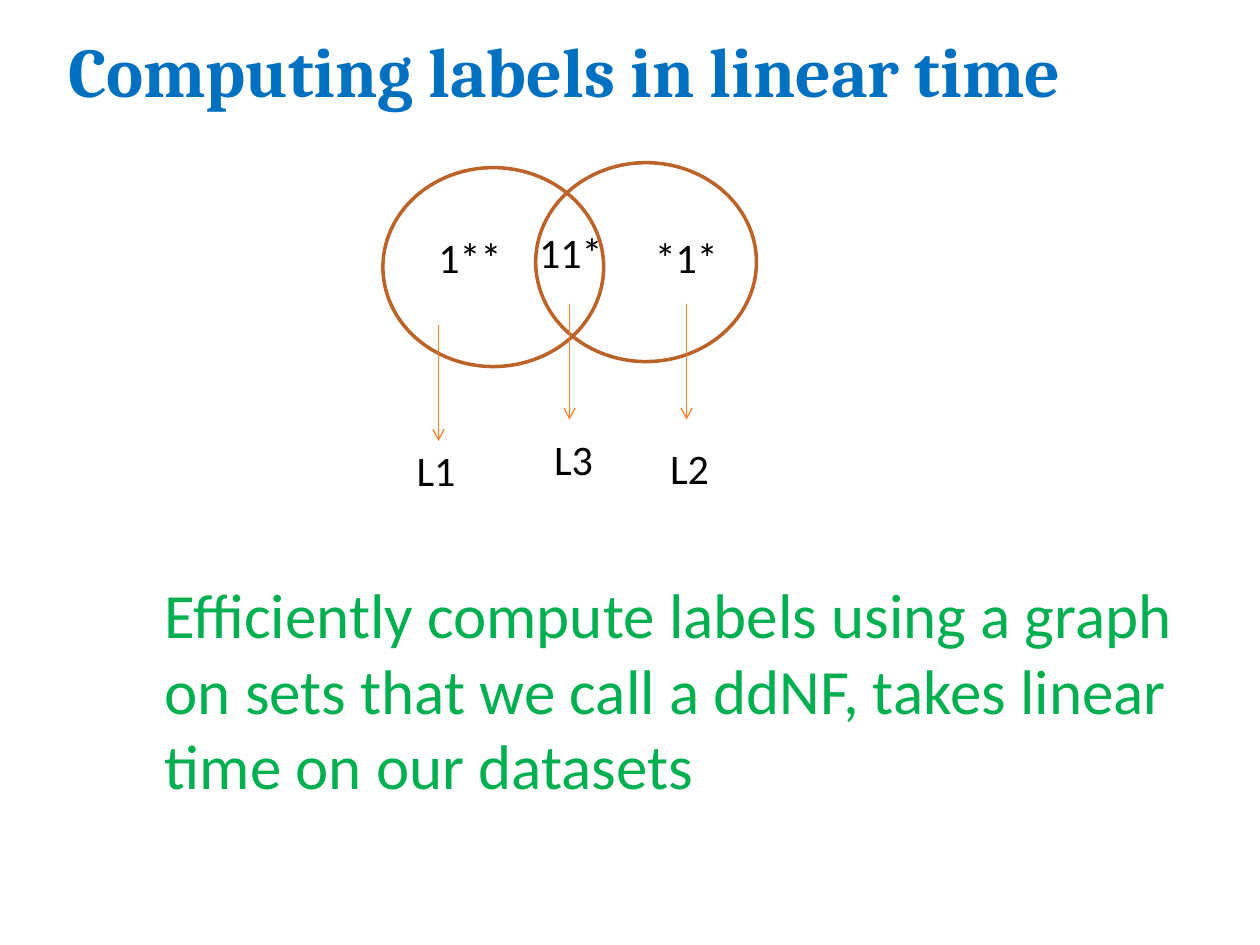
from lxml.etree import SubElement
from pptx import Presentation
from pptx.dml.color import RGBColor
from pptx.enum.shapes import MSO_CONNECTOR, MSO_SHAPE
from pptx.enum.text import MSO_ANCHOR, MSO_AUTO_SIZE, PP_ALIGN
from pptx.oxml.ns import qn
from pptx.util import Cm, Pt

BLACK = RGBColor(0x00, 0x00, 0x00)
BLUE = RGBColor(0x00, 0x70, 0xC0)
GREEN = RGBColor(0x00, 0xB0, 0x50)
BROWN = RGBColor(0xBC, 0x63, 0x29)
ORANGE = RGBColor(0xFD, 0x82, 0x31)

TITLE_FONT = {"name": "Cambria", "size": Pt(40), "bold": True}
LABEL_FONT = {"name": "Calibri", "size": Pt(24)}
SUMMARY_FONT = {"name": "Calibri", "size": Pt(36)}

# Positions in centimetres
CIRCLES = [(7.72, 3.38), (10.8, 3.28)]
SET_LABELS = [("1**", 8.59, 4.55), ("*1*", 12.95, 4.55), ("11*", 10.62, 4.45)]
RESULT_LABELS = [("L1", 8.15, 8.84), ("L2", 13.26, 8.79), ("L3", 10.92, 8.61)]
ARROW_STARTS = [(8.84, 6.55), (11.48, 6.12), (13.84, 6.12)]
ARROW_LENGTH = 2.34
SUMMARY = [
    "Efficiently compute labels using a graph",
    "on sets that we call a ddNF, takes linear",
    "time on our datasets",
]


def format_font(paragraph, values, color):
    for attribute, value in values.items():
        setattr(paragraph.font, attribute, value)
    paragraph.font.color.rgb = color


def set_title(slide, wording):
    title = slide.shapes.title
    title.left, title.top = Cm(1.12), Cm(0.25)
    title.width, title.height = Cm(23.95), Cm(2.31)
    frame = title.text_frame
    frame.text = wording
    frame.auto_size = MSO_AUTO_SIZE.NONE
    frame.vertical_anchor = MSO_ANCHOR.MIDDLE
    frame.paragraphs[0].alignment = PP_ALIGN.LEFT
    format_font(frame.paragraphs[0], TITLE_FONT, BLUE)


def add_text(slide, lines, left, top, width, height, values, color):
    box = slide.shapes.add_textbox(Cm(left), Cm(top), Cm(width), Cm(height))
    frame = box.text_frame
    frame.word_wrap = False
    frame.auto_size = MSO_AUTO_SIZE.SHAPE_TO_FIT_TEXT
    frame.text = "\n".join(lines)
    for paragraph in frame.paragraphs:
        paragraph.alignment = PP_ALIGN.LEFT
        format_font(paragraph, values, color)


def add_circle(slide, left, top):
    circle = slide.shapes.add_shape(
        MSO_SHAPE.OVAL, Cm(left), Cm(top), Cm(4.45), Cm(4.01))
    circle.shadow.inherit = False
    circle.fill.background()
    circle.line.color.rgb = BROWN
    circle.line.width = Pt(2)


def add_down_arrow(slide, x, top):
    arrow = slide.shapes.add_connector(
        MSO_CONNECTOR.STRAIGHT, Cm(x), Cm(top), Cm(x), Cm(top + ARROW_LENGTH))
    arrow.line.color.rgb = ORANGE
    arrow.line.width = Pt(0.75)
    SubElement(arrow.line._get_or_add_ln(), qn("a:tailEnd"), type="arrow")
    SubElement(arrow._element.spPr, qn("a:effectLst"))


def main():
    deck = Presentation()
    deck.slide_width, deck.slide_height = Cm(25.4), Cm(19.05)
    slide = deck.slides.add_slide(deck.slide_layouts[5])
    set_title(slide, "Computing labels in linear time")

    # Overlapping sets
    for left, top in CIRCLES:
        add_circle(slide, left, top)
    for wording, left, top in SET_LABELS:
        add_text(slide, [wording], left, top, 1.8, 1.27, LABEL_FONT, BLACK)

    # Label of each region
    for x, top in ARROW_STARTS:
        add_down_arrow(slide, x, top)
    for wording, left, top in RESULT_LABELS:
        add_text(slide, [wording], left, top, 1.5, 1.27, LABEL_FONT, BLACK)

    # Summary
    add_text(slide, SUMMARY, 3.07, 11.48, 20.98, 5.89, SUMMARY_FONT, GREEN)
    deck.save("out.pptx")


if __name__ == "__main__":
    main()
